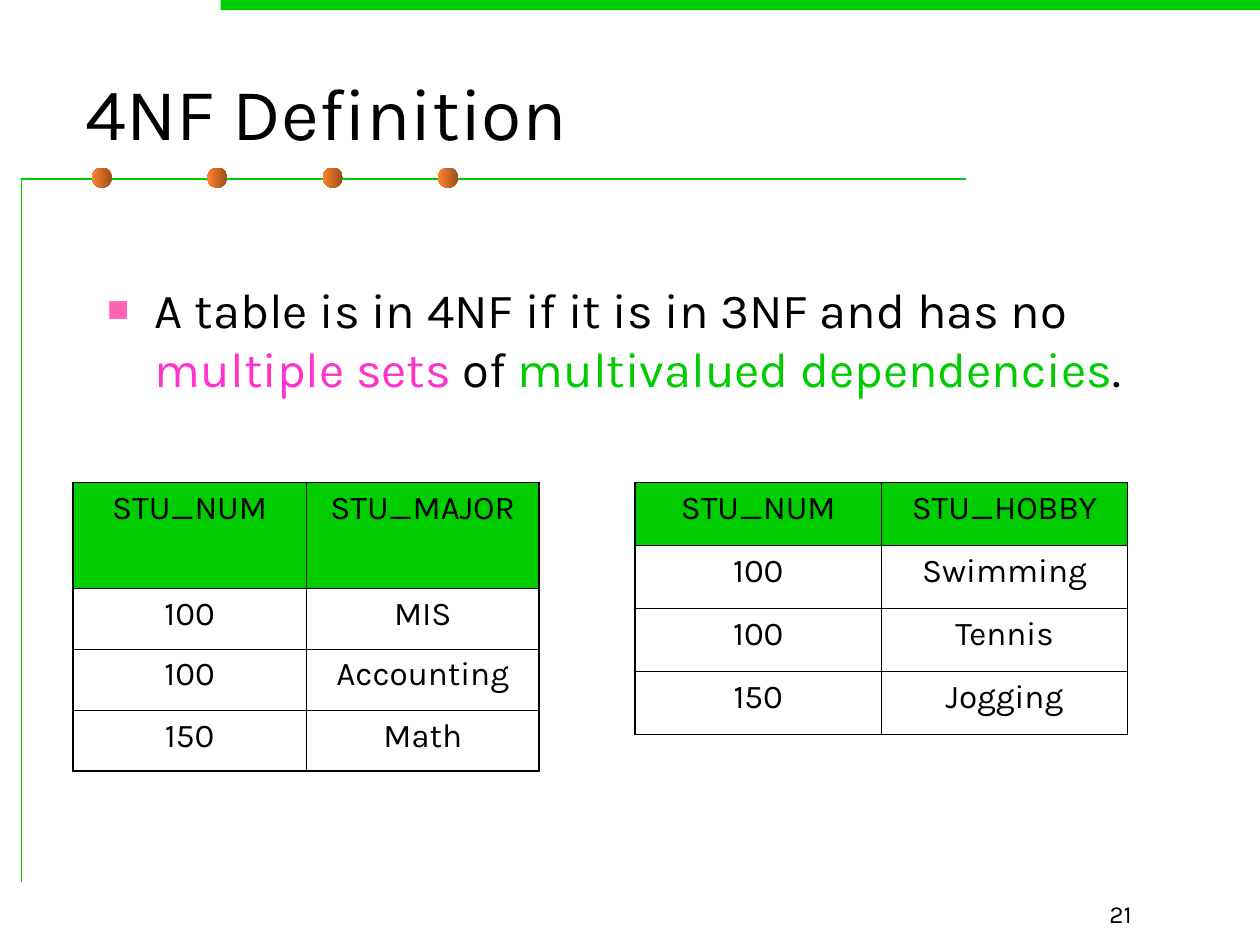
from lxml import etree
from pptx import Presentation
from pptx.dml.color import RGBColor
from pptx.enum.shapes import MSO_SHAPE
from pptx.enum.text import MSO_ANCHOR, MSO_AUTO_SIZE, PP_ALIGN
from pptx.oxml.ns import qn
from pptx.util import Inches, Pt

LEFT, CENTER, RIGHT = PP_ALIGN.LEFT, PP_ALIGN.CENTER, PP_ALIGN.RIGHT
TOP, MIDDLE, BOTTOM = MSO_ANCHOR.TOP, MSO_ANCHOR.MIDDLE, MSO_ANCHOR.BOTTOM
FONT = "Karla"
GREEN, PINK, BLACK = "00CC00", "FF33CC", "000000"
BULLET_COLOR = "FF63B1"
DOT_COLORS = ("9A4E1B", "FF822D")
OUTER, INNER = 1.08, 0.45

TITLE = "4NF Definition"
DEFINITION = [
    ("A table is in 4NF if it is in 3NF and has no ", BLACK),
    ("multiple sets", PINK),
    (" of ", BLACK),
    ("multivalued dependencies", GREEN),
    (".", BLACK),
]
TABLES = [
    {"left": 0.58, "width": 3.7, "heights": [0.84, 0.48, 0.49, 0.48],
     "rows": [("STU_NUM", "STU_MAJOR"), ("100", "MIS"),
              ("100", "Accounting"), ("150", "Math")]},
    {"left": 5.04, "width": 3.91, "heights": [0.5] * 4,
     "rows": [("STU_NUM", "STU_HOBBY"), ("100", "Swimming"),
              ("100", "Tennis"), ("150", "Jogging")]},
]
TABLE_TOP = 3.83
PAGE_NUMBER = "21"


def rgb(color):
    return RGBColor.from_string(color)


def write(tf, text, size, align=LEFT, anchor=TOP):
    """Fill a text frame with one paragraph, given as a string or (text, colour) runs."""
    tf.word_wrap = True
    tf.auto_size = MSO_AUTO_SIZE.NONE
    tf.vertical_anchor = anchor
    p = tf.paragraphs[0]
    p.alignment = align
    p.space_before = Pt(0)
    for part, color in [(text, BLACK)] if isinstance(text, str) else text:
        r = p.add_run()
        r.text = part
        r.font.name = FONT
        r.font.size = Pt(size)
        r.font.color.rgb = rgb(color)
    return p


def place(sp, left, top, width, height):
    sp.left, sp.top = Inches(left), Inches(top)
    sp.width, sp.height = Inches(width), Inches(height)


def add_plain_shape(slide, kind, left, top, width, height):
    sp = slide.shapes.add_shape(kind, *map(Inches, (left, top, width, height)))
    sp.shadow.inherit = False
    sp.line.fill.background()
    return sp


def add_bullet(p):
    pPr = p._p.get_or_add_pPr()
    pPr.set("marL", str(Inches(0.38)))
    pPr.set("indent", str(Inches(-0.38)))
    color = etree.SubElement(pPr, qn("a:buClr"))
    etree.SubElement(color, qn("a:srgbClr"), val=BULLET_COLOR)
    etree.SubElement(pPr, qn("a:buSzPct"), val="75000")
    etree.SubElement(pPr, qn("a:buFont"), typeface="Arial")
    etree.SubElement(pPr, qn("a:buChar"), char="■")


def set_borders(cell, widths):
    """Draw black cell borders; widths are points for left, right, top, bottom."""
    tcPr = cell._tc.get_or_add_tcPr()
    for side, width in zip("LRTB", widths):
        ln = etree.SubElement(tcPr, qn(f"a:ln{side}"), w=str(Pt(width)))
        fill = etree.SubElement(ln, qn("a:solidFill"))
        etree.SubElement(fill, qn("a:srgbClr"), val=BLACK)


def add_data_table(slide, left, width, heights, rows):
    n_rows, n_cols = len(rows), len(rows[0])
    table = slide.shapes.add_table(
        n_rows, n_cols, Inches(left), Inches(TABLE_TOP),
        Inches(width), Inches(sum(heights))).table
    table.first_row = table.horz_banding = False
    for row, height in zip(table.rows, heights):
        row.height = Inches(height)
    for i, values in enumerate(rows):
        for j, value in enumerate(values):
            cell = table.cell(i, j)
            edges = (j == 0, j == n_cols - 1, i == 0, i == n_rows - 1)
            set_borders(cell, [OUTER if edge else INNER for edge in edges])
            if i == 0:
                cell.fill.solid()
                cell.fill.fore_color.rgb = rgb(GREEN)
            else:
                cell.fill.background()
            write(cell.text_frame, value, 19, align=CENTER)


def add_decoration(slide):
    bar = add_plain_shape(slide, MSO_SHAPE.RECTANGLE, 1.75, 0, 8.25, 0.08)
    bar.fill.solid()
    bar.fill.fore_color.rgb = rgb(GREEN)

    builder = slide.shapes.build_freeform(Inches(0.17), Inches(7))
    corner = [(Inches(0.17), Inches(1.42)), (Inches(7.67), Inches(1.42))]
    builder.add_line_segments(corner, close=False)
    frame = builder.convert_to_shape()
    frame.shadow.inherit = False
    frame.fill.background()
    frame.line.color.rgb = rgb(GREEN)
    frame.line.width = Pt(0.75)

    for i in range(4):
        dot = add_plain_shape(slide, MSO_SHAPE.OVAL, 0.73 + i * 0.916, 1.33, 0.16, 0.16)
        dot.fill.gradient()
        dot.fill.gradient_angle = 180
        for stop, position, color in zip(dot.fill.gradient_stops, (0, 1), DOT_COLORS):
            stop.position = position
            stop.color.rgb = rgb(color)


def main():
    prs = Presentation()
    prs.slide_width, prs.slide_height = Inches(10), Inches(7.5)
    slide = prs.slides.add_slide(prs.slide_layouts[1])
    add_decoration(slide)

    title, body = slide.shapes.title, slide.placeholders[1]
    place(title, 0.58, 0.42, 8.5, 0.92)
    write(title.text_frame, TITLE, 42, anchor=MIDDLE)
    place(body, 0.75, 2.17, 8.42, 1.08)
    add_bullet(write(body.text_frame, DEFINITION, 28))

    for table in TABLES:
        add_data_table(slide, **table)

    number = slide.shapes.add_textbox(*map(Inches, (7, 6.92, 2.08, 0.5)))
    write(number.text_frame, PAGE_NUMBER, 14, align=RIGHT, anchor=BOTTOM)
    prs.save("out.pptx")


if __name__ == "__main__":
    main()
